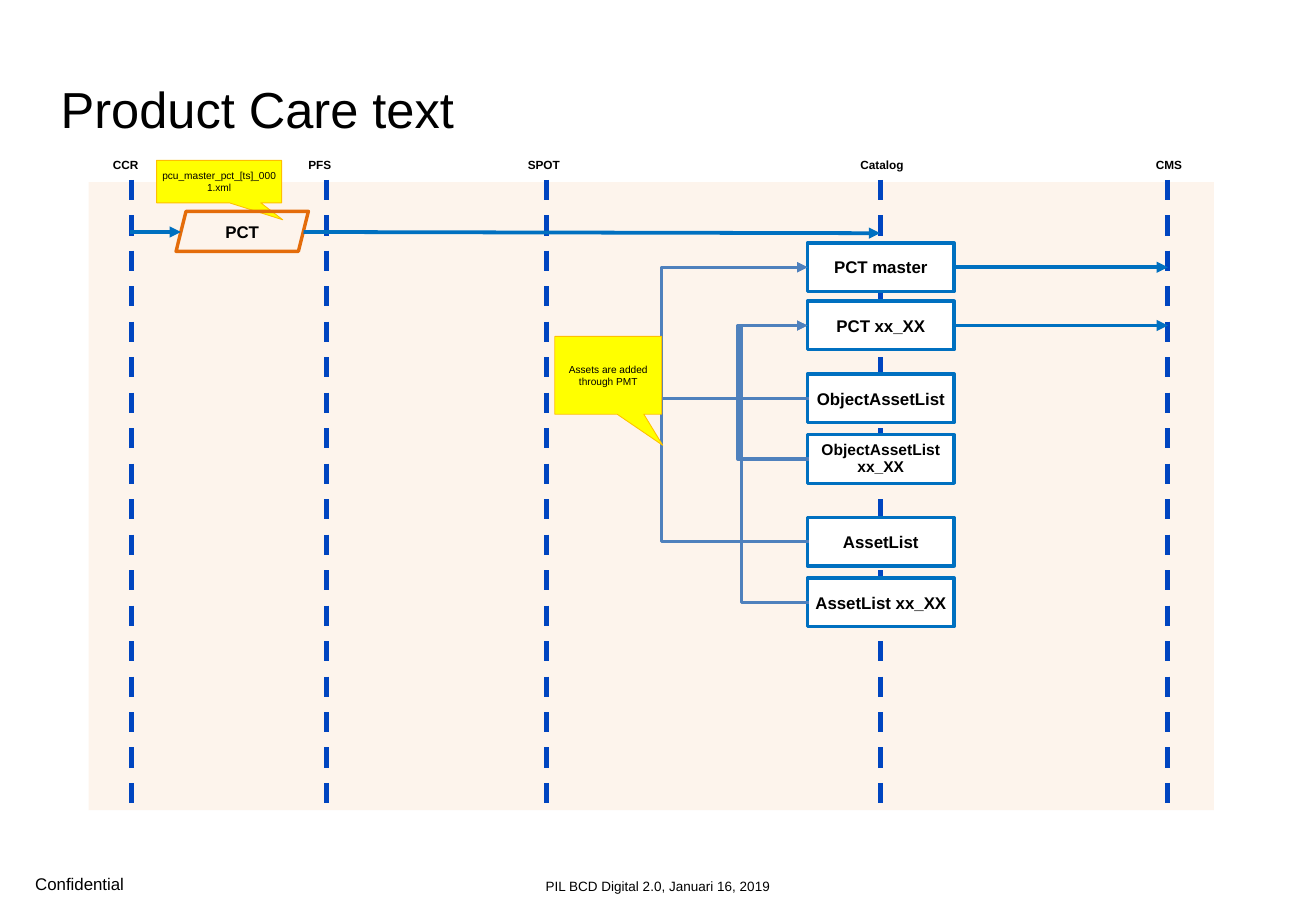
from lxml import etree
from pptx import Presentation
from pptx.dml.color import RGBColor
from pptx.enum.dml import MSO_LINE
from pptx.enum.shapes import MSO_CONNECTOR, MSO_SHAPE
from pptx.enum.text import MSO_ANCHOR, PP_ALIGN
from pptx.oxml.ns import qn
from pptx.util import Inches, Pt

STRAIGHT, ELBOW = MSO_CONNECTOR.STRAIGHT, MSO_CONNECTOR.ELBOW
RECTANGLE, PARALLELOGRAM = MSO_SHAPE.RECTANGLE, MSO_SHAPE.PARALLELOGRAM
CALLOUT = MSO_SHAPE.RECTANGULAR_CALLOUT
LEFT, CENTER = PP_ALIGN.LEFT, PP_ALIGN.CENTER
TOP, MIDDLE, BOTTOM = MSO_ANCHOR.TOP, MSO_ANCHOR.MIDDLE, MSO_ANCHOR.BOTTOM
DASH = MSO_LINE.DASH
RIGHT_SIDE = 3

BLACK, WHITE, YELLOW, AMBER = "000000", "FFFFFF", "FFFF00", "FFC000"
CREAM, ORANGE, LANE_BLUE = "FDEADA", "E46C0A", "0045C0"
FLOW_BLUE, LINK_BLUE = "0070C0", "4F81BD"

LANES = [("CCR", 10.8, 10.35), ("PFS", 26.9, 26.35), ("SPOT", 45, 44.8),
         ("Catalog", 72.5, 72.65), ("CMS", 96.2, 96.3)]
BOX_LEFT, BOX_WIDTH, BOX_HEIGHT = 66.5, 12.1, 4
BOXES = [("PCT master", 20), ("PCT xx_XX", 24.8), ("ObjectAssetList", 30.8),
         ("ObjectAssetList xx_XX", 35.8), ("AssetList", 42.6),
         ("AssetList xx_XX", 47.6)]
LINKS = [("ObjectAssetList", "PCT master", 54.3),
         ("AssetList", "PCT master", 54.3),
         ("AssetList xx_XX", "PCT xx_XX", 61),
         ("ObjectAssetList xx_XX", "PCT xx_XX", 60.7)]


def grid(cells):
    """Turn grid columns or rows of a tenth of an inch into a length."""
    return Inches(cells / 10)


def colour(hex_value):
    """Turn a hex string into a colour."""
    return RGBColor.from_string(hex_value)


def write(shape, text, size=10, bold=False, align=CENTER, anchor=MIDDLE,
          inset=0.4, wrap=True, spacing=None):
    """Put formatted text into a shape."""
    frame = shape.text_frame
    frame.word_wrap = wrap
    frame.vertical_anchor = anchor
    frame.margin_left = frame.margin_right = grid(inset)
    frame.margin_top = frame.margin_bottom = grid(inset)
    frame.text = text
    paragraph = frame.paragraphs[0]
    paragraph.alignment = align
    if spacing:
        paragraph.line_spacing = spacing
    font = paragraph.font
    font.name, font.size, font.bold = "Arial", Pt(size), bold
    font.color.rgb = colour(BLACK)


class CareTextSlide:
    """Draw the elements of the flow on one slide."""

    def __init__(self, deck):
        """Add a title-only slide to the deck."""
        self.slide = deck.slides.add_slide(deck.slide_layouts[5])
        self.shapes = self.slide.shapes

    def title(self, text, left, top, width, height):
        """Place and fill the title."""
        heading = self.shapes.title
        heading.left, heading.top = grid(left), grid(top)
        heading.width, heading.height = grid(width), grid(height)
        write(heading, text, size=30, align=LEFT, inset=0)

    def label(self, text, left, top, width, height, **style):
        """Add a text box."""
        box = self.shapes.add_textbox(*map(grid, (left, top, width, height)))
        write(box, text, **style)

    def block(self, kind, left, top, width, height, fill=None, edge=None,
              weight=2):
        """Add a preset shape."""
        block = self.shapes.add_shape(kind, *map(grid, (left, top, width, height)))
        block.shadow.inherit = False
        if fill:
            block.fill.solid()
            block.fill.fore_color.rgb = colour(fill)
        else:
            block.fill.background()
        if edge:
            block.line.color.rgb = colour(edge)
            block.line.width = Pt(weight)
        else:
            block.line.fill.background()
        return block

    def panel(self, left, top, width, height):
        """Add the half-transparent background panel."""
        panel = self.block(RECTANGLE, left, top, width, height, CREAM)
        tint = panel.fill._xPr.find(".//" + qn("a:srgbClr"))
        etree.SubElement(tint, qn("a:alpha"), val="50000")

    def callout(self, text, left, top, width, height):
        """Add a yellow remark with its pointer at the lower right."""
        remark = self.block(CALLOUT, left, top, width, height, YELLOW, AMBER, 0.5)
        remark.adjustments[0], remark.adjustments[1] = 0.51, 0.9
        write(remark, text, size=6)

    def line(self, start, end, hue, weight, kind=STRAIGHT, arrow=True):
        """Add a connector between two grid points."""
        line = self.shapes.add_connector(kind, *map(grid, (*start, *end)))
        line.line.color.rgb = colour(hue)
        line.line.width = Pt(weight)
        if arrow:
            stroke = line.line._get_or_add_ln()
            etree.SubElement(stroke, qn("a:tailEnd"), type="triangle")
        etree.SubElement(line._element.spPr, qn("a:effectLst"))
        return line

    def lane(self, name, x, label_x):
        """Add a dashed lifeline with its name."""
        lifeline = self.line((x, 14.8), (x, 66.1), LANE_BLUE, 3, arrow=False)
        lifeline.line.dash_style = DASH
        self.label(name, label_x - 3, 12.5, 6, 2.2, size=7, bold=True,
                   anchor=TOP, inset=0.5, wrap=False)

    def link(self, source_y, target_y, bend_x):
        """Add an elbow arrow that leaves and re-enters on the left side."""
        width = 0.1
        elbow = self.line((BOX_LEFT, target_y), (BOX_LEFT + width, source_y),
                          LINK_BLUE, 2, ELBOW)
        properties = elbow._element.spPr
        properties.find(qn("a:xfrm")).set("rot", "10800000")
        guides = properties.find(qn("a:prstGeom")).get_or_add_avLst()
        bend = round((BOX_LEFT + width - bend_x) / width * 100000)
        etree.SubElement(guides, qn("a:gd"), name="adj1", fmla=f"val {bend}")


def main():
    """Build the slide and save it."""
    deck = Presentation()
    deck.slide_width, deck.slide_height = grid(108.4), grid(75)
    page = CareTextSlide(deck)
    page.label("Confidential", 2.9, 71.9, 21.8, 1.7, align=LEFT,
               anchor=BOTTOM, inset=0)
    page.label("PIL BCD Digital 2.0, Januari 16, 2019", 24.1, 71.9, 60.2, 1.7,
               size=8, anchor=BOTTOM, inset=0)
    page.panel(7.3, 15, 92.7, 51.7)
    page.title("Product Care text", 5, 5.8, 99, 6.3)

    for name, x, label_x in LANES:
        page.lane(name, x, label_x)
    page.callout("pcu_master_pct_[ts]_0001.xml", 12.9, 13.2, 10.3, 3.5)
    care_text = page.block(PARALLELOGRAM, 14.5, 17.4, 10.9, 3.3, edge=ORANGE)
    write(care_text, "PCT", bold=True)
    page.line((10.7, 19.1), (14.9, 19.1), FLOW_BLUE, 2.25)
    page.line((25, 19.1), (72.5, 19.2), FLOW_BLUE, 2.25)

    boxes, middles = {}, {}
    for name, top in BOXES:
        box = page.block(RECTANGLE, BOX_LEFT, top, BOX_WIDTH, BOX_HEIGHT,
                         WHITE, FLOW_BLUE)
        two_lines = name == "ObjectAssetList xx_XX"
        write(box, name, size=9.2 if two_lines else 10, bold=True,
              spacing=0.9 if two_lines else None)
        boxes[name], middles[name] = box, top + BOX_HEIGHT / 2
    for name in ("PCT master", "PCT xx_XX"):
        y = middles[name]
        delivery = page.line((BOX_LEFT + BOX_WIDTH, y), (96.2, y), FLOW_BLUE, 2.25)
        delivery.begin_connect(boxes[name], RIGHT_SIDE)
    for source, target, bend_x in LINKS:
        page.link(middles[source], middles[target], bend_x)
    page.callout("Assets are added through PMT", 45.7, 27.7, 8.8, 6.4)
    deck.save("out.pptx")


if __name__ == "__main__":
    main()
